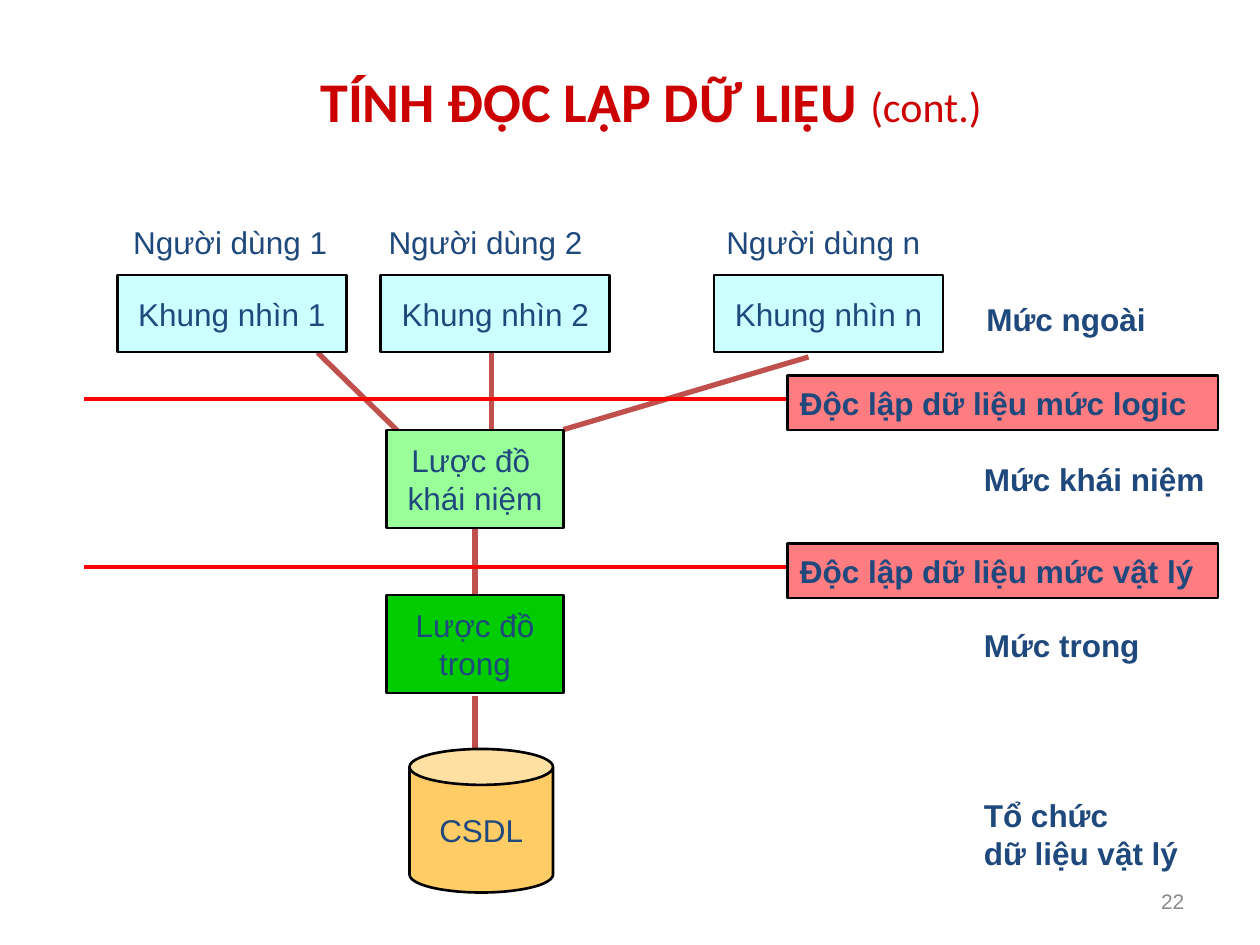
"""Build the slide on data independence across the three schema levels."""
from lxml import etree
from pptx import Presentation
from pptx import util as u
from pptx.dml.color import RGBColor
from pptx.enum import shapes, text
from pptx.oxml import ns

Pt = u.Pt
HUE = {"title": "CC0000", "ink": "1F497D", "view": "CCFFFF", "concept": "99FF99",
       "inner": "00CC00", "store": "FFCC66", "tag": "FF7C80", "edge": "000000",
       "link": "C0504D", "rule": "FF0000", "page": "898989"}
RECT, CAN = shapes.MSO_SHAPE.RECTANGLE, shapes.MSO_SHAPE.CAN
LEFT, MID, RIGHT = text.PP_ALIGN.LEFT, text.PP_ALIGN.CENTER, text.PP_ALIGN.RIGHT

deck = Presentation()
deck.slide_width, deck.slide_height = Pt(720), Pt(540)
slide = deck.slides.add_slide(deck.slide_layouts[5])


def label(words, box, fill=None, kind=RECT, align=MID, bold=False, size=18, ink="ink"):
    """Add a text box without side margins, or an outlined shape when a fill is named."""
    area = [Pt(n) for n in box]
    if fill:
        item = slide.shapes.add_shape(kind, *area)
        item.shadow.inherit = False
        item.fill.solid()
        item.fill.fore_color.rgb = RGBColor.from_string(HUE[fill])
        item.line.color.rgb = RGBColor.from_string(HUE["edge"])
        item.line.width = Pt(1.5)
    else:
        item = slide.shapes.add_textbox(*area)
        item.text_frame.margin_left = item.text_frame.margin_right = Pt(0)
    frame = item.text_frame
    frame.word_wrap = False
    frame.vertical_anchor = text.MSO_ANCHOR.MIDDLE
    frame.text = words
    for para in frame.paragraphs:
        para.alignment = align
        font = para.font
        font.name, font.size, font.bold = "Arial", Pt(size), bold
        font.color.rgb = RGBColor.from_string(HUE[ink])


def line(ends, hue, width):
    """Add a straight line without a shadow."""
    item = slide.shapes.add_connector(shapes.MSO_CONNECTOR.STRAIGHT, *[Pt(n) for n in ends])
    item.line.color.rgb = RGBColor.from_string(HUE[hue])
    item.line.width = Pt(width)
    etree.SubElement(item._element.spPr, ns.qn("a:effectLst"))


title = slide.shapes.title
title.left, title.top, title.width, title.height = Pt(24), Pt(12), Pt(696), Pt(90)
title.text_frame.vertical_anchor = text.MSO_ANCHOR.MIDDLE
head = title.text_frame.paragraphs[0]
head.alignment = MID
head.font.name = "Calibri"
head.font.color.rgb = RGBColor.from_string(HUE["title"])
for words, size, bold in (("TÍNH ĐỘC LẬP DỮ LIỆU ", 32, True), ("(cont.)", 24, False)):
    run = head.add_run()
    run.text = words
    run.font.size, run.font.bold = Pt(size), bold

for ends in ((181.5, 201.5, 227, 246), (281, 201, 281, 245.5), (462, 204, 322, 245.5),
             (271.5, 302, 271.5, 350), (271.5, 397.5, 271.5, 440)):
    line(ends, "link", 3)

for mark, user, view in (("1", 73.5, 67), ("2", 219.5, 217.5), ("n", 412.5, 408)):
    label(f"Người dùng {mark}", (user, 126, 116, 25))
    label(f"Khung nhìn {mark}", (view, 157.25, 131, 44), "view")

label("Lược đồ \nkhái niệm", (221, 245.75, 101, 56), "concept")
label("Lược đồ\ntrong", (221, 340, 101, 56), "inner")
label("CSDL", (234, 428, 82, 82), "store", CAN)

for words, x, y, high in (("Mức ngoài", 563.7, 167, 31), ("Mức khái niệm", 562.2, 258, 31),
                          ("Mức trong", 562.2, 353, 31),
                          ("Tổ chức\ndữ liệu vật lý", 562.2, 432, 89)):
    label(words, (x, y, 132, high), align=LEFT, bold=True)

for level, y in (("logic", 228), ("vật lý", 324)):
    line((48, y, 450, y), "rule", 2.5)
    label(f"Độc lập dữ liệu mức {level}", (450, y - 13.25, 246, 31), "tag",
          align=LEFT, bold=True)

label("22", (516, 500.5, 160.8, 29), align=RIGHT, size=12, ink="page")

deck.save("out.pptx")
